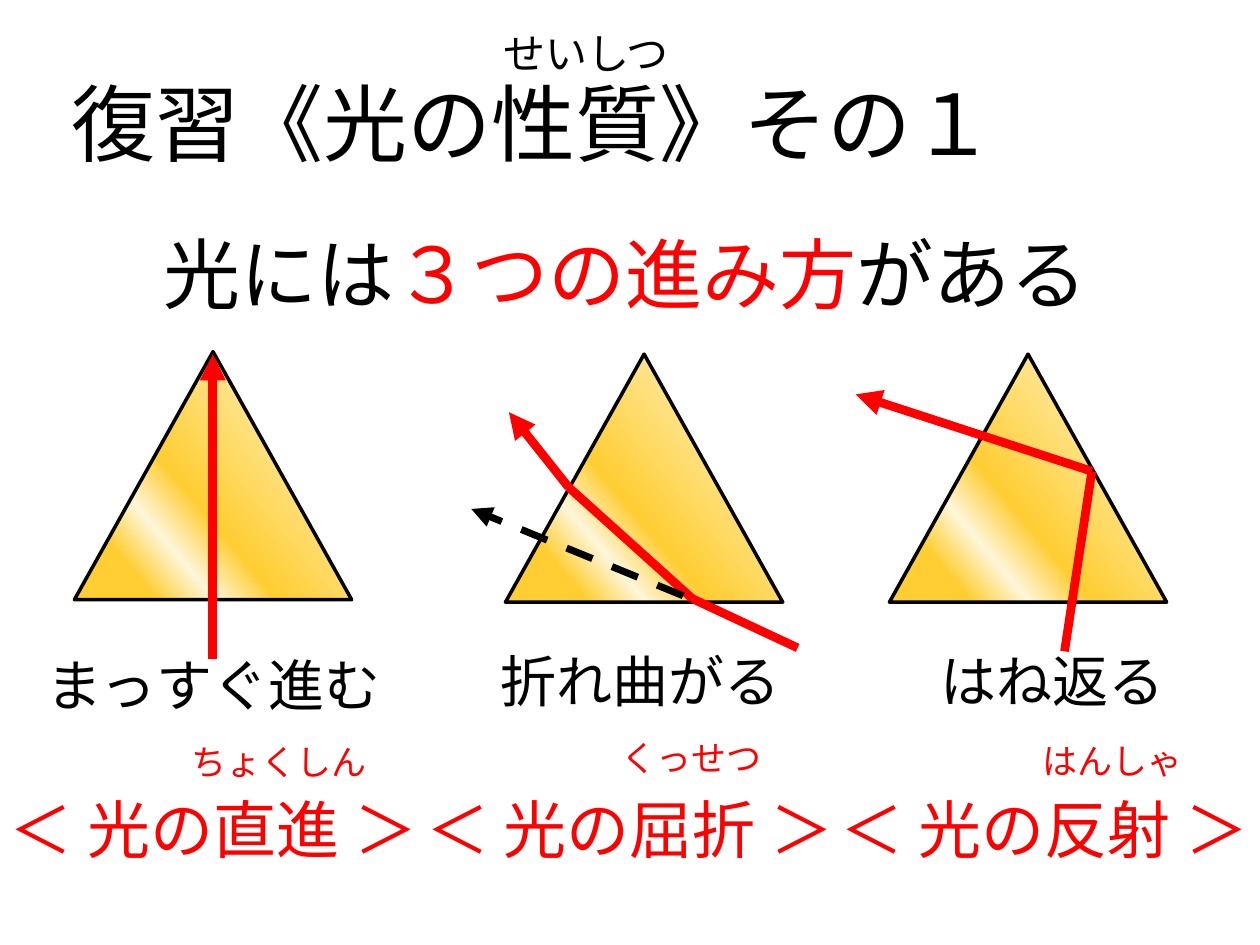
from itertools import pairwise

from lxml import etree
from pptx import Presentation
from pptx.dml.color import RGBColor
from pptx.enum import dml, shapes, text
from pptx.oxml import ns
from pptx.util import Cm, Pt

# Content: positions and sizes in centimetres
BLACK, RED = "000000", "FF0000"
LATIN, JAPANESE = "Karla", "Noto Sans CJK JP"

TITLE = [("\u3000".strip() + "　", LATIN, BLACK), ("復習", JAPANESE, BLACK),
         ("《光の性質》その１", LATIN, BLACK)]
TITLE_BOX = (-0.5, 0.97, 25.4, 2.97)
TITLE_READING = ("せいしつ", (9.9, 0.43, 5.5, 1.27))
MESSAGE = [("光には", JAPANESE, BLACK), ("３つの進み方", JAPANESE, RED),
           ("がある", JAPANESE, BLACK)]
MESSAGE_BOX = (0.41, 4.45, 24.4, 2.1)

# Each box: text, left, top, width
WAYS = [
    {"caption": ("まっすぐ進む", 0.56, 12.98, 7.49),
     "name": ("＜ 光の直進 ＞", -0.56, 15.82, 9.73),
     "reading": ("ちょくしん", 3.15, 14.81, 4.95),
     "prism": (1.5, 7.09),
     "ray": [(4.29, 13.28), (4.29, 7.14)]},
    {"caption": ("折れ曲がる", 9.75, 12.9, 6.32),
     "name": ("＜ 光の屈折 ＞", 8.05, 15.82, 9.3),
     "reading": ("くっせつ", 12.07, 14.73, 3.73),
     "prism": (10.19, 7.14),
     "ray": [(16.08, 13.06), (13.96, 12.07), (11.46, 9.82), (10.26, 8.31)],
     "straight": [(13.77, 12.01), (9.5, 10.26)]},
    {"caption": ("はね返る", 18.54, 12.9, 5.38),
     "name": ("＜ 光の反射 ＞", 16.48, 15.82, 9.14),
     "reading": ("はんしゃ", 20.73, 14.78, 3.4),
     "prism": (17.93, 7.14),
     "ray": [(21.46, 13.13), (22.01, 9.5), (17.25, 7.95)]},
]
# Size in points, box height, font, colour
STYLES = {"caption": (32, 1.63, LATIN, BLACK),
          "name": (36, 1.8, LATIN, RED),
          "reading": (20, 1.12, JAPANESE, RED)}
PRISM_SIZE = (5.59, 5)
GRADIENT = [(0, "FFCE33"), (17, "FFCE33"), (29, "FFF6DA"),
            (42, "FFCE33"), (95, "FFF6DA"), (100, "FFF6DA")]
GRADIENT_ANGLE = 320


def color(value):
    return RGBColor.from_string(value)


def set_all(target, formats):
    for name, value in formats.items():
        setattr(target, name, value)


def add_element(parent, tag, **attributes):
    return etree.SubElement(parent, ns.qn(tag), attributes)


def write(shape, pieces, size, align, anchor=text.MSO_ANCHOR.TOP,
          auto_size=text.MSO_AUTO_SIZE.SHAPE_TO_FIT_TEXT):
    set_all(shape.text_frame, {"word_wrap": True, "auto_size": auto_size,
                               "vertical_anchor": anchor})
    paragraph = shape.text_frame.paragraphs[0]
    set_all(paragraph, {"alignment": align, "space_before": Pt(0)})
    for words, face, shade in pieces:
        run = paragraph.add_run()
        run.text = words
        set_all(run.font, {"size": Pt(size), "name": face})
        run.font.color.rgb = color(shade)
        properties = run.font._element
        properties.set("lang", "ja-JP")
        add_element(properties, "a:ea", typeface=face)


def add_text(parent, box, pieces, size, align=text.PP_ALIGN.CENTER):
    write(parent.add_textbox(*map(Cm, box)), pieces, size, align)


def add_prism(parent, corner):
    prism = parent.add_shape(shapes.MSO_SHAPE.ISOSCELES_TRIANGLE,
                             *map(Cm, corner + PRISM_SIZE))
    prism.shadow.inherit = False
    prism.line.width = Pt(2)
    prism.line.color.rgb = color(BLACK)
    prism.fill.gradient()
    gradient = prism._element.spPr.find(ns.qn("a:gradFill"))
    for child in list(gradient):
        gradient.remove(child)
    stops = add_element(gradient, "a:gsLst")
    for position, shade in GRADIENT:
        stop = add_element(stops, "a:gs", pos=str(position * 1000))
        add_element(stop, "a:srgbClr", val=shade)
    add_element(gradient, "a:lin", ang=str(GRADIENT_ANGLE * 60000), scaled="0")


def add_ray(parent, points, shade, width, dash=None):
    for start, end in pairwise(points):
        segment = parent.add_connector(shapes.MSO_CONNECTOR.STRAIGHT,
                                       *map(Cm, start + end))
        set_all(segment.line, {"width": Pt(width), "dash_style": dash})
        segment.line.color.rgb = color(shade)
        add_element(segment._element.spPr, "a:effectLst")
    # The last segment carries the arrowhead
    add_element(segment.line._ln, "a:tailEnd", type="triangle")


def main():
    presentation = Presentation()
    set_all(presentation, {"slide_width": Cm(25.4), "slide_height": Cm(19.05)})
    slide = presentation.slides.add_slide(presentation.slide_layouts[5])

    # Title with its reading, and the message
    title = slide.shapes.title
    set_all(title, dict(zip(("left", "top", "width", "height"),
                            map(Cm, TITLE_BOX))))
    write(title, TITLE, 48, text.PP_ALIGN.LEFT, text.MSO_ANCHOR.MIDDLE,
          text.MSO_AUTO_SIZE.NONE)
    words, box = TITLE_READING
    add_text(slide.shapes, box, [(words, LATIN, BLACK)], 24, text.PP_ALIGN.LEFT)
    add_text(slide.shapes, MESSAGE_BOX, MESSAGE, 44)

    # Three ways light travels: labels, prism and rays
    for way in WAYS:
        group = slide.shapes.add_group_shape().shapes
        for part, (size, height, face, shade) in STYLES.items():
            words, *place = way[part]
            parent = slide.shapes if part == "caption" else group
            add_text(parent, (*place, height), [(words, face, shade)], size)
        add_prism(slide.shapes, way["prism"])
        add_ray(slide.shapes, way["ray"], RED, 5)
        if "straight" in way:
            add_ray(slide.shapes, way["straight"], BLACK, 4,
                    dml.MSO_LINE.DASH)

    presentation.save("out.pptx")


if __name__ == "__main__":
    main()
